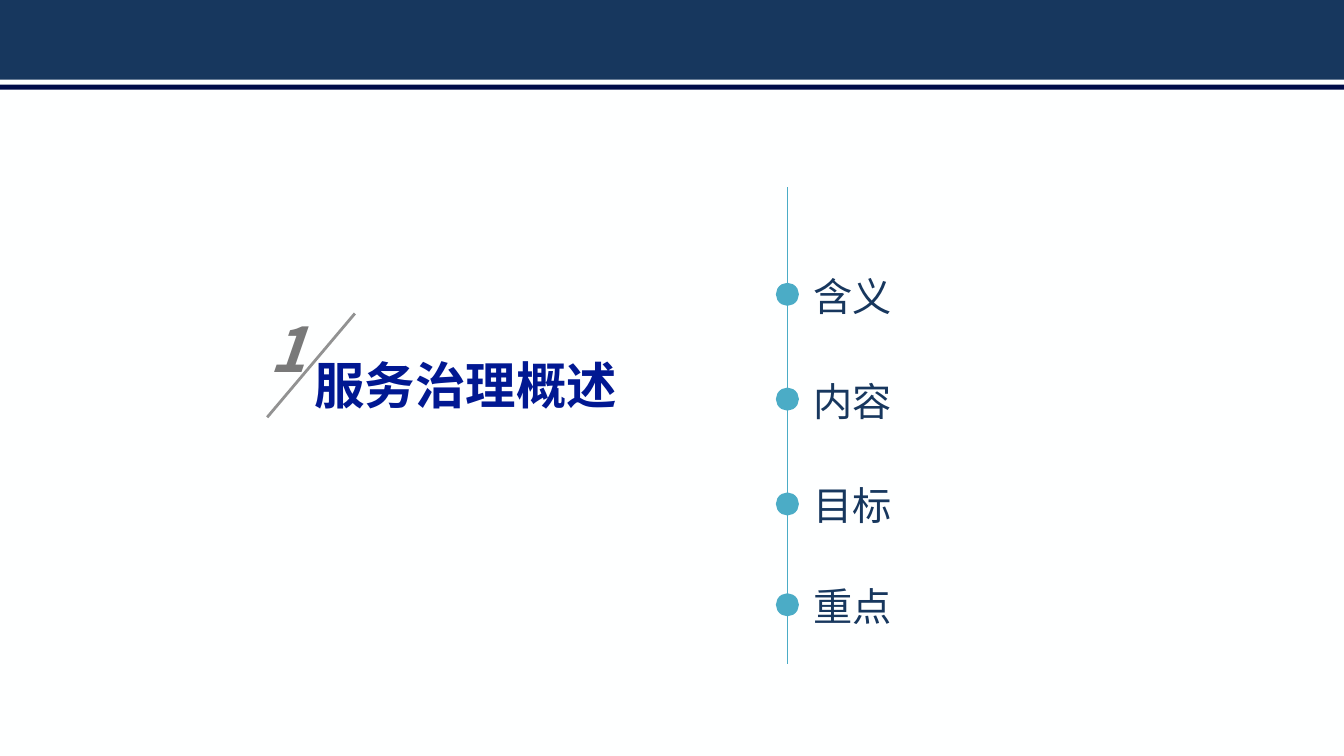
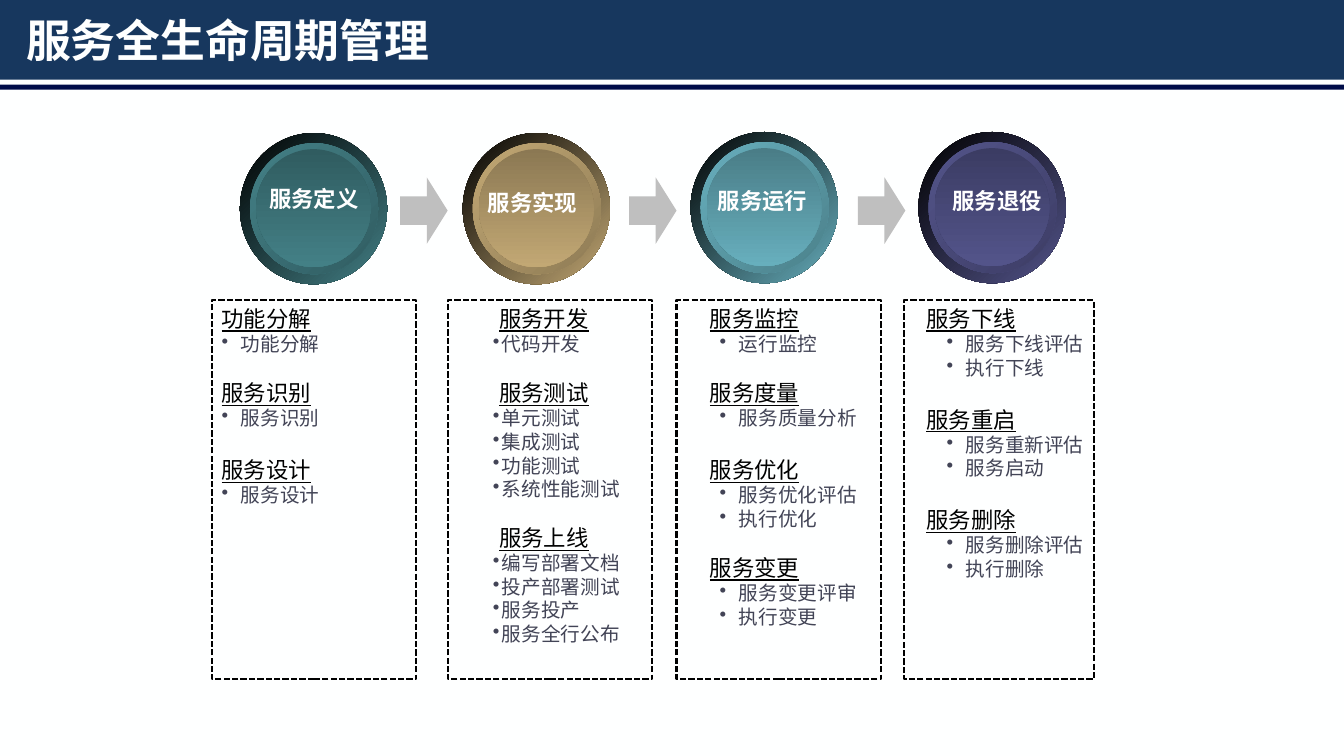
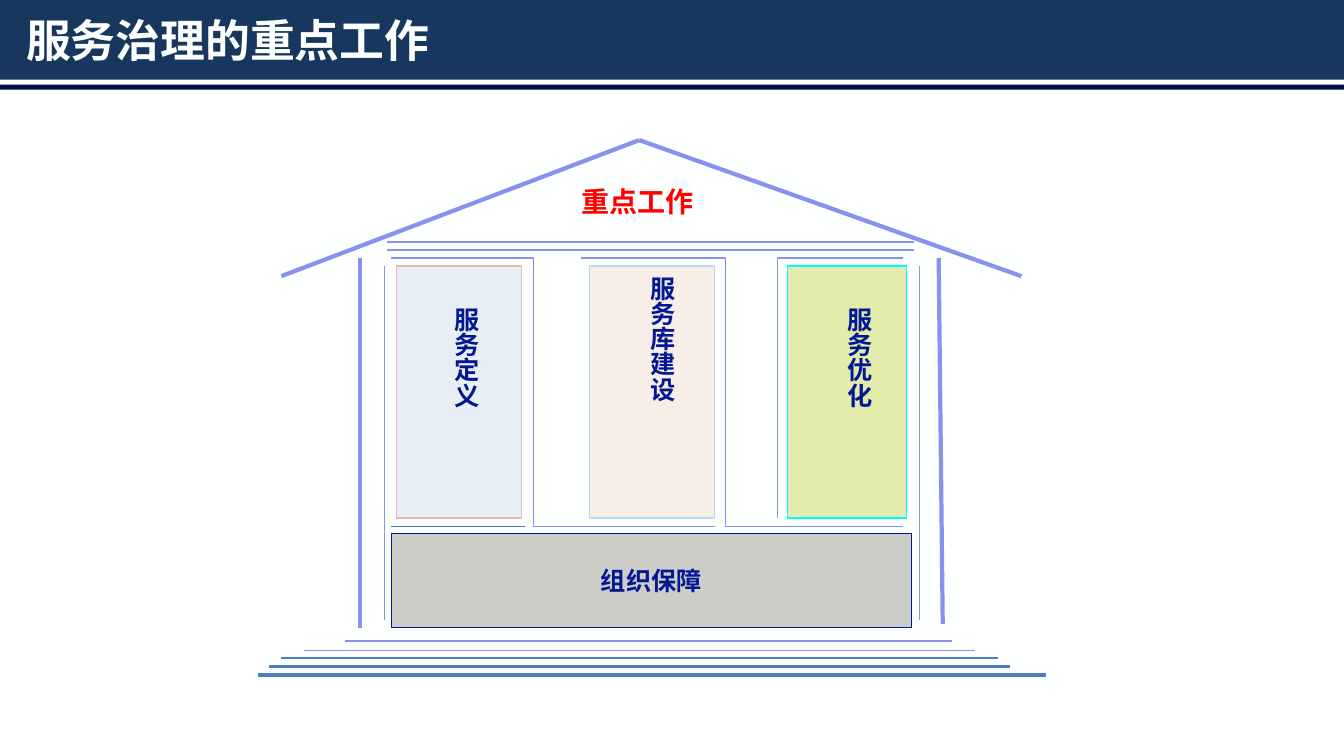
from lxml.etree import SubElement
from pptx import Presentation
from pptx.dml.color import RGBColor
from pptx.enum.dml import MSO_LINE
from pptx.enum.shapes import MSO_CONNECTOR, MSO_SHAPE
from pptx.enum.text import MSO_ANCHOR, PP_ALIGN
from pptx.oxml.ns import qn
from pptx.util import Pt

PX = 9144  # EMU per px, 100 px to the inch
FONT = "Noto Sans CJK SC"
COLORS = {
    "paper": "FEFFFF", "band": "17375E", "rule": "000C49", "navy": "011892",
    "number": "797979", "slash": "929292", "dot": "4BACC6", "arrow": "BFBFBF",
    "white": "FFFFFF", "black": "000000", "bullet": "424456", "red": "FF0000",
    "violet": "8692EE", "step": "4B7EBC", "base": "CCCDC9",
}


def rgb(color):
    return RGBColor.from_string(COLORS.get(color, color))


def shade(color, factor):
    return "".join(f"{round(v * factor):02X}" for v in bytes.fromhex(color))


class Deck:
    def __init__(self):
        self.prs = Presentation()
        self.prs.slide_width, self.prs.slide_height = 1333 * PX, 750 * PX
        self.s = None

    def slide(self, title=None):
        self.s = self.prs.slides.add_slide(self.prs.slide_layouts[6])
        self.s.background.fill.solid()
        self.s.background.fill.fore_color.rgb = rgb("paper")
        self.shape(0, 0, 1333, 79, "band")
        self.shape(0, 84, 1333, 5, "rule")
        if title:
            tf = self.text(title, 16, 9, 1302, 60, 32, "paper", bold=True)
            tf.vertical_anchor = MSO_ANCHOR.MIDDLE

    def shape(self, x, y, w, h, fill=None, kind=MSO_SHAPE.RECTANGLE, line=None, width=1):
        sp = self.s.shapes.add_shape(kind, x * PX, y * PX, w * PX, h * PX)
        sp.shadow.inherit = False
        if fill:
            sp.fill.solid()
            sp.fill.fore_color.rgb = rgb(fill)
        else:
            sp.fill.background()
        if line:
            sp.line.color.rgb = rgb(line)
            sp.line.width = Pt(width)
        else:
            sp.line.fill.background()
        return sp

    def disc(self, x, y, w, h, start, end, angle):
        """Ellipse with a gradient; the angle runs clockwise."""
        sp = self.shape(x, y, w, h, kind=MSO_SHAPE.OVAL)
        sp.fill.gradient()
        sp.fill.gradient_angle = 360 - angle
        for stop, color in zip(sp.fill.gradient_stops, (start, end)):
            stop.color.rgb = rgb(color)

    def line(self, x1, y1, x2, y2, color, width=1, bend=None):
        kind = MSO_CONNECTOR.STRAIGHT if bend is None else MSO_CONNECTOR.ELBOW
        c = self.s.shapes.add_connector(kind, x1 * PX, y1 * PX, x2 * PX, y2 * PX)
        c.line.color.rgb = rgb(color)
        c.line.width = Pt(width)
        spPr = c._element.spPr
        SubElement(spPr, qn("a:effectLst"))
        if bend is not None:
            guides = spPr.find(qn("a:prstGeom")).find(qn("a:avLst"))
            SubElement(guides, qn("a:gd"), name="adj1", fmla=f"val {bend * 1000}")

    def style(self, p, size, color, bold=False, italic=False, underline=False):
        for r in p.runs:
            f = r.font
            f.size, f.bold, f.italic, f.underline = Pt(size), bold, italic, underline
            f.color.rgb = rgb(color)
            f.name = FONT
            SubElement(r._r.get_or_add_rPr(), qn("a:ea"), typeface=FONT)

    def text(self, text, x, y, w, h, size, color, align=None, wrap=True, vertical=False, **look):
        tf = self.s.shapes.add_textbox(x * PX, y * PX, w * PX, h * PX).text_frame
        tf.word_wrap = wrap
        if vertical:
            tf._txBody.bodyPr.set("vert", "eaVert")
        tf.text = text
        tf.paragraphs[0].alignment = align
        self.style(tf.paragraphs[0], size, color, **look)
        return tf

    def outline(self, x, y, w, h, groups, align, margin, hang):
        """Underlined headings, each followed by its bullets."""
        tf = self.s.shapes.add_textbox(x * PX, y * PX, w * PX, h * PX).text_frame
        tf.word_wrap = True
        for i, (gap, heading, items) in enumerate(groups):
            p = tf.add_paragraph() if i else tf.paragraphs[0]
            p.text, p.alignment = heading, align
            if gap:
                p.space_before = Pt(gap)
            self.style(p, 16, "black", underline=True)
            for item in items:
                p = tf.add_paragraph()
                pPr = p._p.get_or_add_pPr()
                pPr.set("marL", str(margin * PX))
                pPr.set("indent", str(-hang * PX))
                SubElement(pPr, qn("a:buChar"), char="•")
                p.text = item
                self.style(p, 14, "bullet")


def section(d):
    d.slide()
    d.text("服务治理概述", 302, 346, 323, 71, 36, "navy", wrap=False, bold=True)
    d.text("1", 257, 304, 70, 84, 44, "number", wrap=False, bold=True, italic=True)
    d.line(352, 311, 265, 414, "slash", 2)
    # Topics along a vertical line
    d.line(781, 186, 781, 659, "dot", 0.25)
    for topic, y in (("含义", 282), ("内容", 386), ("目标", 490), ("重点", 590)):
        d.shape(771, y, 20, 20, "dot", MSO_SHAPE.OVAL, "dot", 2)
        d.text(topic, 797, y - 17, 99, 57, 28, "band", wrap=False)


def lifecycle(d):
    d.slide("服务全生命周期管理")
    for i in range(3):
        arrow = d.shape(397 + 227 * i, 176, 47, 66, "arrow", MSO_SHAPE.RIGHT_ARROW)
        arrow.adjustments[0], arrow.adjustments[1] = 0.43, 0.44
    # Stage buttons: left, top, colour, then the label and its box
    stages = (
        (238, 132, "438086", "服务定义", 257, 179, 112),
        (459, 132, "C2A874", "服务实现", 474, 183, 126),
        (685, 131, "67AFBD", "服务运行", 702, 181, 118),
        (911, 131, "53548A", "服务退役", 935, 181, 119),
    )
    for x, y, color, label, label_x, label_y, label_w in stages:
        d.disc(x, y, 146, 150, "black", color, 45)
        d.disc(x + 10, y + 10, 127, 130, color, shade(color, 0.73), 45)
        d.disc(x + 16, y + 16, 114, 117, shade(color, 0.715), color, 90)
        d.text(label, label_x, label_y, label_w, 38, 16, "white", bold=True)
    # Dashed frames: left, width, then the outline's box, alignment, indents and groups
    left, center = PP_ALIGN.LEFT, PP_ALIGN.CENTER
    columns = (
        (210, 203, 210, 205, 263, left, 19, 19, (
            (0, "功能分解", ("功能分解",)),
            (17, "服务识别", ("服务识别",)),
            (19, "服务设计", ("服务设计",)))),
        (444, 203, 440, 199, 350, center, 48, 9, (
            (0, "服务开发", ("代码开发",)),
            (17, "服务测试", ("单元测试", "集成测试", "功能测试", "系统性能测试")),
            (17, "服务上线", ("编写部署文档", "投产部署测试", "服务投产", "服务全行公布")))),
        (671, 203, 635, 227, 333, center, 88, 19, (
            (0, "服务监控", ("运行监控",)),
            (17, "服务度量", ("服务质量分析",)),
            (19, "服务优化", ("服务优化评估", "执行优化")),
            (17, "服务变更", ("服务变更评审", "执行变更")))),
        (897, 188, 909, 180, 313, left, 39, 19, (
            (0, "服务下线", ("服务下线评估", "执行下线")),
            (19, "服务重启", ("服务重新评估", "服务启动")),
            (19, "服务删除", ("服务删除评估", "执行删除")))),
    )
    for x, w, text_x, text_w, text_h, align, margin, hang, groups in columns:
        frame = d.shape(x, 298, w, 376, line="black", width=1.5)
        frame.line.dash_style = MSO_LINE.SQUARE_DOT
        d.outline(text_x, 298, text_w, text_h, groups, align, margin, hang)


def key_work(d):
    d.slide("服务治理的重点工作")
    # Pillars: left, width, fill, line, then the label and its box
    pillars = (
        (393, 124, "E8EFF4", "E6B9B8", "服务定义", 432, 295, 180),
        (585, 124, "F9EEE7", "B7DEE8", "服务库建设", 627, 264, 249),
        (781, 118, "E2EBAB", "00FEFE", "服务优化", 822, 295, 180),
    )
    for x, w, fill, line, label, label_x, label_y, label_h in pillars:
        d.shape(x, 264, w, 250, fill, line=line)
        d.text(label, label_x, label_y, 50, label_h, 18, "navy", PP_ALIGN.JUSTIFY,
               vertical=True, bold=True)
    d.text("重点工作", 435, 178, 394, 56, 20, "red", PP_ALIGN.CENTER, bold=True)
    # Roof, beams, walls and steps
    for line in (
        (279, 274, 634, 139, "violet", 3), (634, 139, 1013, 274, "violet", 3),
        (384, 240, 907, 240, "violet", 1), (384, 248, 907, 248, "violet", 1),
        (357, 256, 357, 623, "violet", 3), (931, 256, 935, 619, "violet", 3),
        (381, 264, 381, 615, "violet", 0.75), (912, 264, 912, 615, "violet", 0.75),
        (388, 522, 521, 522, "step", 0.75),
        (342, 636, 944, 636, "violet", 1), (302, 645, 967, 645, "violet", 0.75),
        (279, 653, 990, 653, "step", 1.5), (267, 661, 1002, 661, "step", 2.25),
        (256, 670, 1037, 670, "step", 3),
    ):
        d.line(*line)
    # Bent lines between the pillars
    d.line(388, 256, 709, 522, "violet", 0.75, bend=44)
    d.line(576, 256, 896, 522, "violet", 0.75, bend=45)
    d.line(896, 256, 771, 514, "violet", 1, bend=100)
    # Base
    base = d.shape(388, 529, 516, 94, "base", line="navy", width=0)
    base.text_frame.text = "组织保障"
    p = base.text_frame.paragraphs[0]
    p.alignment = PP_ALIGN.CENTER
    d.style(p, 18, "navy", bold=True)


def main():
    d = Deck()
    section(d)
    lifecycle(d)
    key_work(d)
    d.prs.save("out.pptx")


if __name__ == "__main__":
    main()
